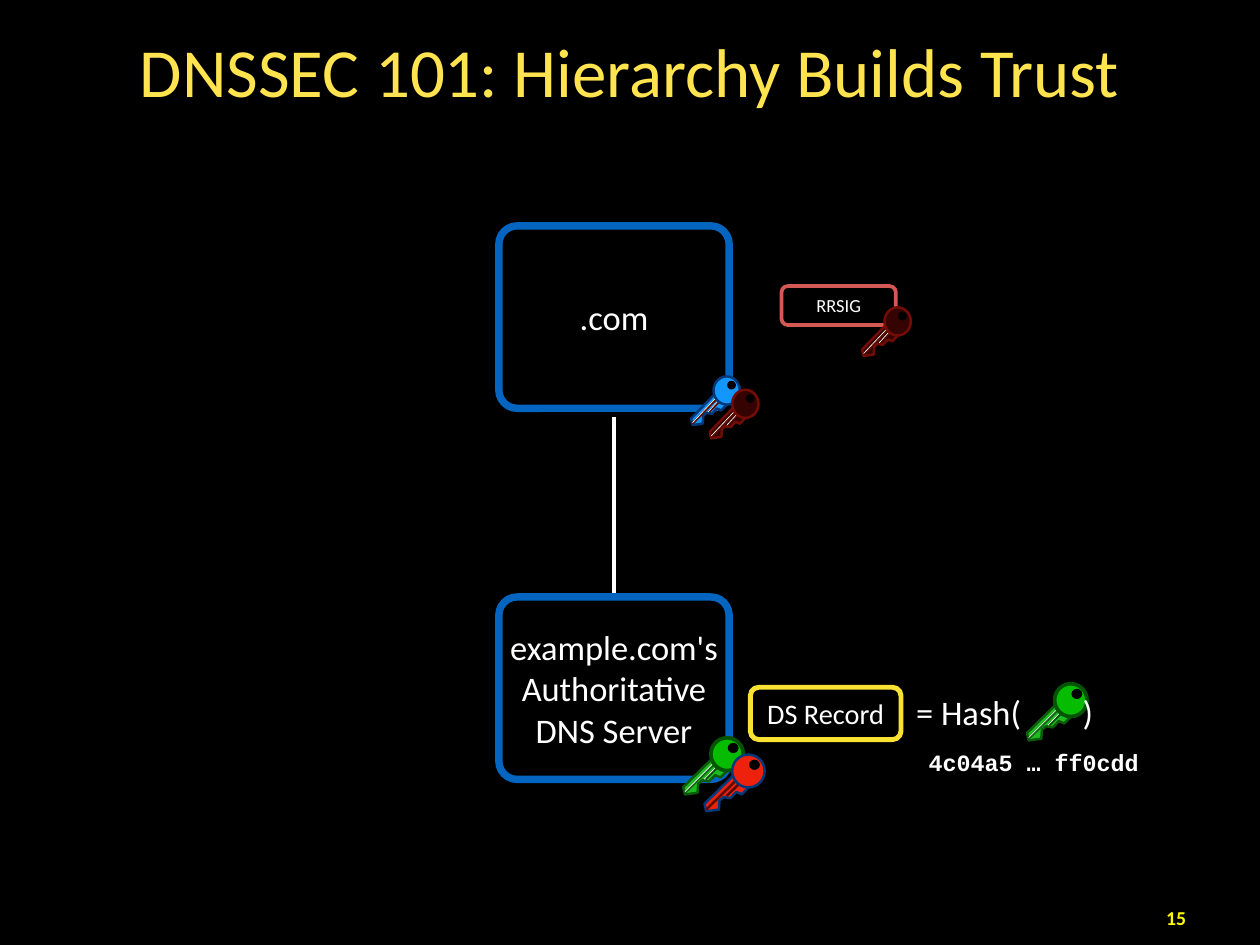
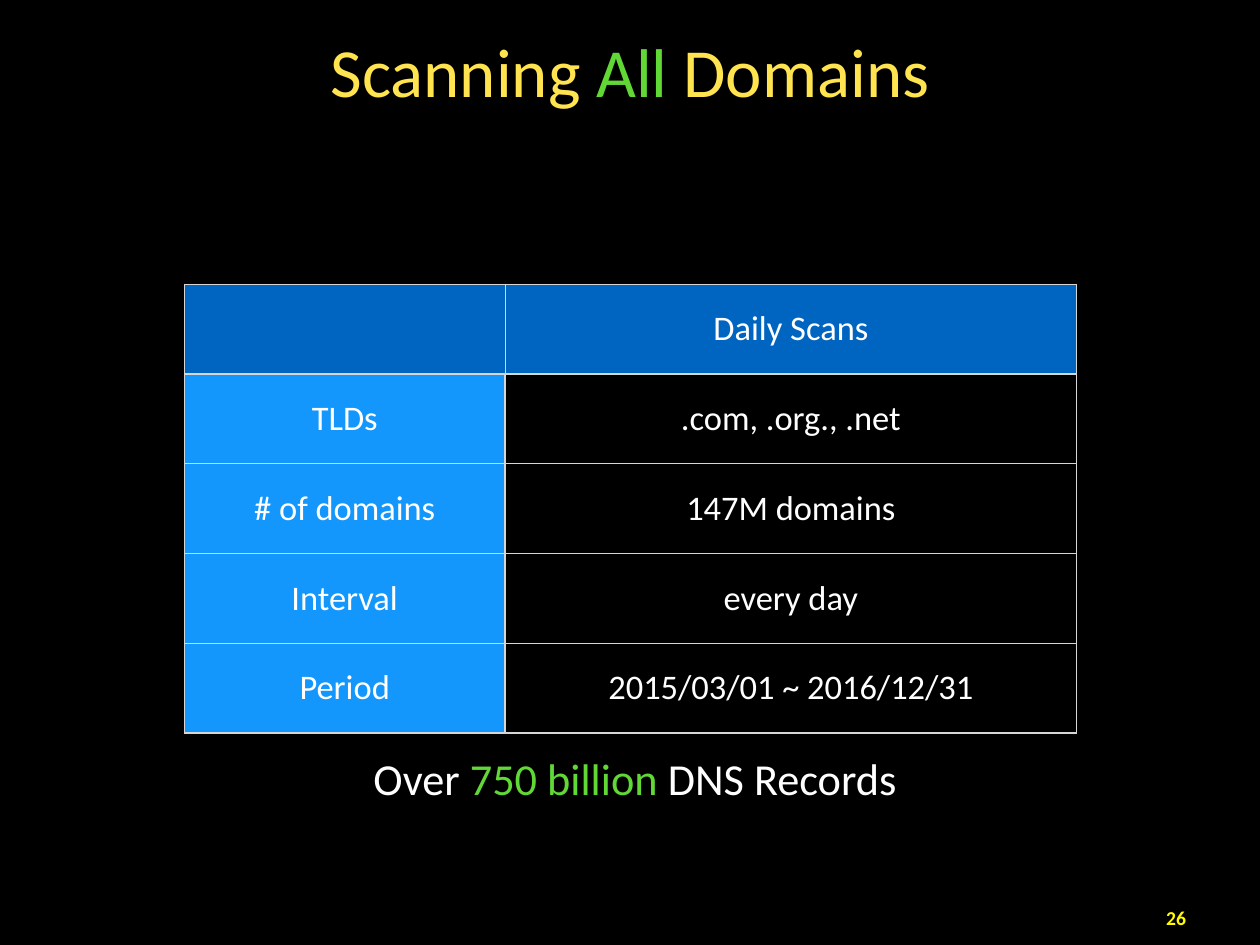
from collections import namedtuple

from pptx import Presentation
from pptx import util as u
from pptx.dml.color import RGBColor
from pptx.enum import shapes, text
from pptx.oxml import parse_xml
from pptx.oxml.ns import nsdecls, qn

WIDTH, HEIGHT = u.Inches(14.22), u.Inches(10.67)
SANS, MONO = "Calibri", "Courier New"
BLACK, WHITE = "000000", "FFFFFF"
TITLE_YELLOW, PAGE_YELLOW, DS_YELLOW = "FFE44F", "FFFB00", "FAE232"
ACCENT_GREEN, SERVER_BLUE, RRSIG_RED = "61D836", "0365C0", "D45954"
HEADER_BLUE, LABEL_BLUE, GRID_GRAY = "0065C1", "1497FC", "D6D6D6"
INSET = u.Inches(0.06)

KeyStyle = namedtuple("KeyStyle", "blade edge head rim rim_width grooves glint")
RED_GROOVES = ("5C0C01", "510901")
GREEN_KEY = KeyStyle("1EBB20", "0A5C0A", "06BC00", "015400", 3, ("126514", "075308"), True)
RED_KEY = KeyStyle("EE220C", "00397A", "EE220C", "00397A", 2, RED_GROOVES, False)
BLUE_KEY = KeyStyle("1497FC", "00397A", "1497FC", "00397A", 2, RED_GROOVES, True)
DARK_KEY = KeyStyle("340302", "720C04", "340302", "720C04", 2, RED_GROOVES, True)

# Key geometry as shares of the key's own width and height
BLADE = [(0.49, 0.36), (0, 0.87), (0.03, 1), (0.24, 0.97), (0.25, 0.81),
         (0.32, 0.75), (0.43, 0.77), (0.53, 0.66), (0.62, 0.7), (0.75, 0.56)]
GROOVES = [((0.03, 0.97), (0.53, 0.45)), ((0.37, 0.73), (0.59, 0.5))]
GLINTS = [((0.03, 0.95), (0.51, 0.44)), ((0.35, 0.73), (0.56, 0.5))]
HEAD, HOLE = (0.46, 0, 0.54, 0.58), (0.74, 0.09, 0.18, 0.18)
BIG, SMALL = (4.78, 6), (3.87, 5.15)


def x(percent):
    return u.Emu(int(WIDTH * percent / 100))


def y(percent):
    return u.Emu(int(HEIGHT * percent / 100))


def area(left, top, width, height):
    """Turn percentages of the slide into lengths."""
    return x(left), y(top), x(width), y(height)


def rgb(value):
    return RGBColor.from_string(value)


def paint(sp, fill=None, line=None, width=0):
    sp.shadow.inherit = False
    if fill:
        sp.fill.solid()
        sp.fill.fore_color.rgb = rgb(fill)
    else:
        sp.fill.background()
    if line:
        sp.line.color.rgb = rgb(line)
        sp.line.width = u.Pt(width)
    else:
        sp.line.fill.background()


def write(p, runs, size, font=SANS, bold=False, align=text.PP_ALIGN.CENTER):
    """Add (text, colour) runs to a paragraph."""
    p.alignment = align
    for words, color in runs:
        r = p.add_run()
        r.text = words
        r.font.name, r.font.size, r.font.bold = font, u.Pt(size), bold
        r.font.color.rgb = rgb(color)


def set_frame(tf, wrap=True, inset=INSET):
    tf.word_wrap = wrap
    tf.vertical_anchor = text.MSO_ANCHOR.MIDDLE
    tf.margin_left = tf.margin_right = tf.margin_top = tf.margin_bottom = inset


def add_label(slide, place, runs, size, wrap=False, inset=INSET, **style):
    tf = slide.shapes.add_textbox(*area(*place)).text_frame
    set_frame(tf, wrap, inset)
    write(tf.paragraphs[0], runs, size, **style)
    return tf.paragraphs[0]


def add_box(slide, place, lines, size, line, width, corner, fill=BLACK):
    sp = slide.shapes.add_shape(shapes.MSO_SHAPE.ROUNDED_RECTANGLE, *area(*place))
    sp.adjustments[0] = corner
    paint(sp, fill, line, width)
    tf = sp.text_frame
    set_frame(tf)
    for i, words in enumerate(lines):
        p = tf.add_paragraph() if i else tf.paragraphs[0]
        write(p, [(words, WHITE)], size)
    return sp


def add_line(parent, start, end, color, width):
    line = parent.shapes.add_connector(shapes.MSO_CONNECTOR.STRAIGHT, *start, *end)
    line.line.color.rgb = rgb(color)
    line.line.width = u.Pt(width)
    line._element.spPr.append(parse_xml(f"<a:effectLst {nsdecls('a')}/>"))
    return line


def add_key(slide, left, top, size, style):
    left, top, width, height = area(left, top, *size)
    group = slide.shapes.add_group_shape()

    def at(point):
        return int(left + point[0] * width), int(top + point[1] * height)

    def disc(place, *look):
        sp = group.shapes.add_shape(shapes.MSO_SHAPE.OVAL, *at(place[:2]),
                                    int(place[2] * width), int(place[3] * height))
        paint(sp, *look)

    outline = group.shapes.build_freeform(*at(BLADE[0]), scale=1.0)
    outline.add_line_segments([at(point) for point in BLADE[1:]], close=True)
    paint(outline.convert_to_shape(), style.blade, style.edge, 2)
    for (start, end), color in zip(GROOVES, style.grooves):
        add_line(group, at(start), at(end), color, 2)
    if style.glint:
        for start, end in GLINTS:
            add_line(group, at(start), at(end), WHITE, 0.5)
    disc(HEAD, style.head, style.rim, style.rim_width)
    disc(HOLE, BLACK)


def set_borders(cell, widths):
    """Draw the left, right, top and bottom borders, widths in points."""
    tc_pr = cell._tc.get_or_add_tcPr()
    for side, width in zip("LRTB", widths):
        ln = tc_pr.makeelement(qn(f"a:ln{side}"), {"w": str(u.Pt(width))})
        ln.append(parse_xml(f'<a:solidFill {nsdecls("a")}>'
                            f'<a:srgbClr val="{GRID_GRAY}"/></a:solidFill>'))
        tc_pr.append(ln)


def add_grid(slide, left, top, widths, row_height, rows):
    """Add a table with a header row and a label column."""
    frame = slide.shapes.add_table(len(rows), len(widths),
                                   *area(left, top, sum(widths), row_height * len(rows)))
    table = frame.table
    table.first_row = table.horz_banding = False
    for column, width in zip(table.columns, widths):
        column.width = x(width)
    for i, row in enumerate(rows):
        table.rows[i].height = y(row_height)
        for j, words in enumerate(row):
            cell = table.cell(i, j)
            inner = 2 if i else 1
            set_borders(cell, (inner if j else 1, 1 if j else inner,
                               2 if i == 1 else 1, 1 if i else 2))
            fill = LABEL_BLUE if j == 0 else None
            if i == 0:
                fill = HEADER_BLUE
            if fill:
                cell.fill.solid()
                cell.fill.fore_color.rgb = rgb(fill)
            else:
                cell.fill.background()
            cell.vertical_anchor = text.MSO_ANCHOR.MIDDLE
            cell.margin_left = cell.margin_right = INSET
            cell.margin_top = cell.margin_bottom = INSET
            if words:
                write(cell.text_frame.paragraphs[0], [(words, WHITE)], 28)


def add_slide(prs, title, number):
    slide = prs.slides.add_slide(prs.slide_layouts[6])
    slide.background.fill.solid()
    slide.background.fill.fore_color.rgb = rgb(BLACK)
    add_label(slide, (6.1, -2.62, 87.8, 20.06), title, 56, wrap=True, inset=0)
    add_label(slide, (91.98, 95.31, 2.74, 3.56), [(number, PAGE_YELLOW)], 16, bold=True)
    return slide


def hierarchy_slide(prs):
    slide = add_slide(prs, [("DNSSEC 101: Hierarchy Builds Trust", TITLE_YELLOW)], "15")
    server_left, server_width, server_height = 39.59, 18.28, 19.31
    com, server = [
        add_box(slide, (server_left, top, server_width, server_height), lines, 28,
                SERVER_BLUE, 6, 0.1)
        for top, lines in ((23.9, [".com"]),
                           (63.17, ["example.com's", "Authoritative", "DNS Server"]))]
    middle = x(server_left + server_width / 2)
    link = add_line(slide, (middle, y(44.14)), (middle, server.top), WHITE, 4)
    link.end_connect(server, 0)
    com._element.addprevious(link._element)

    add_box(slide, (62.03, 30.27, 9.07, 4.12), ["RRSIG"], 15, RRSIG_RED, 3, 0.16, None)
    add_box(slide, (59.56, 72.73, 11.95, 5.53), ["DS Record"], 23, DS_YELLOW, 4, 0.16)
    for key in ((68.42, 32.52, SMALL, DARK_KEY),
                (54.85, 39.83, SMALL, BLUE_KEY),
                (56.33, 41.24, SMALL, DARK_KEY),
                (54.22, 78.07, BIG, GREEN_KEY),
                (55.91, 79.85, BIG, RED_KEY),
                (81.5, 72.35, BIG, GREEN_KEY)):
        add_key(slide, *key)

    p = add_label(slide, (72.29, 72.73, 16.67, 5.25), [("= Hash(\t)", WHITE)], 28,
                  wrap=True, align=text.PP_ALIGN.LEFT)
    p._p.get_or_add_pPr().append(parse_xml(
        f'<a:tabLst {nsdecls("a")}><a:tab pos="{u.Inches(1.88)}" algn="l"/></a:tabLst>'))
    add_label(slide, (73.28, 78.63, 17.58, 4.03), [("4c04a5 … ff0cdd", WHITE)], 19,
              font=MONO, bold=True, align=text.PP_ALIGN.LEFT)


def scanning_slide(prs):
    title = [("Scanning ", TITLE_YELLOW), ("All", ACCENT_GREEN), (" Domains", TITLE_YELLOW)]
    slide = add_slide(prs, title, "26")
    add_grid(slide, 14.63, 30.08, (25.46, 45.36), 9.5, [
        ("", "Daily Scans"),
        ("TLDs", ".com, .org., .net"),
        ("# of domains", "147M domains"),
        ("Interval", "every day"),
        ("Period", "2015/03/01 ~ 2016/12/31")])
    add_label(slide, (28, 79.1, 44.8, 6.37),
              [("Over ", WHITE), ("750 billion", ACCENT_GREEN), (" DNS Records", WHITE)], 36)


def main():
    prs = Presentation()
    prs.slide_width, prs.slide_height = WIDTH, HEIGHT
    hierarchy_slide(prs)
    scanning_slide(prs)
    prs.save("out.pptx")


if __name__ == "__main__":
    main()
